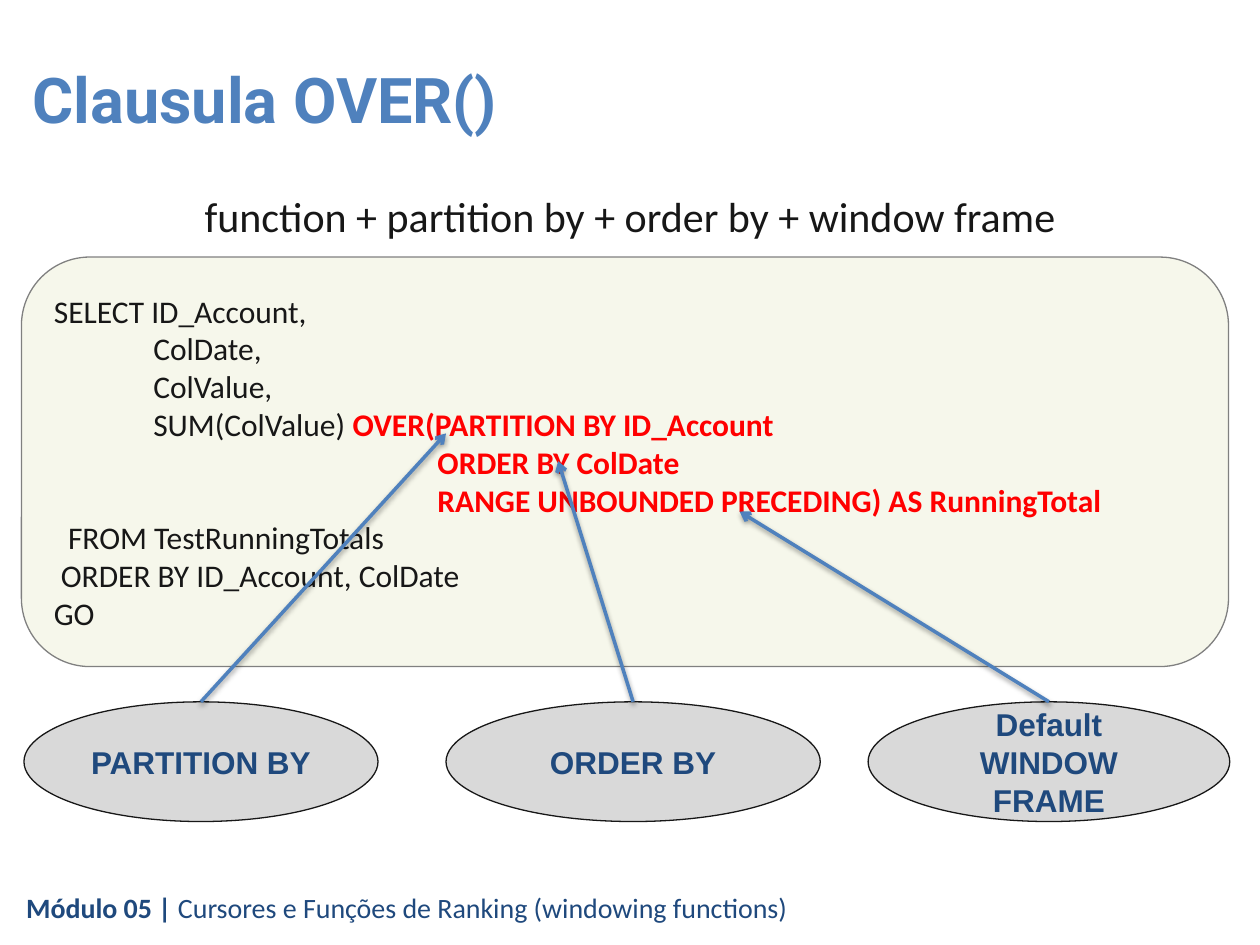
"""Build the slide that explains the parts of the OVER() clause."""
import lxml.etree
import pptx
import pptx.dml.color
import pptx.enum.shapes
import pptx.enum.text
import pptx.oxml
import pptx.oxml.ns
import pptx.util

Inches = pptx.util.Inches
Shapes = pptx.enum.shapes.MSO_SHAPE
Align = pptx.enum.text.PP_ALIGN
Anchor = pptx.enum.text.MSO_ANCHOR

DARK, NAVY, BLUE, RED = "171717", "1F497D", "4F81BD", "FF0000"
SHADOW = (
    '<a:effectLst xmlns:a="http://schemas.openxmlformats.org/drawingml/2006/main">'
    '<a:outerShdw blurRad="39370" dist="20320" dir="5400000" rotWithShape="0">'
    '<a:srgbClr val="000000"><a:alpha val="38000"/></a:srgbClr>'
    "</a:outerShdw></a:effectLst>"
)


def color(value):
    return pptx.dml.color.RGBColor.from_string(value)


def add_run(paragraph, text, *, size=18, font="Calibri", fill=DARK, bold=False):
    run = paragraph.add_run()
    run.text = text
    run.font.size = pptx.util.Pt(size)
    run.font.name = font
    run.font.bold = bold
    run.font.color.rgb = color(fill)


class SlideBuilder:
    def __init__(self, slide):
        self.slide = slide
        self.outline_width = pptx.util.Pt(0.75)
        self.arrow_width = pptx.util.Pt(2)

    def fill_text(self, shape, lines, align, anchor, **style):
        frame = shape.text_frame
        frame.word_wrap = True
        frame.vertical_anchor = anchor
        for index, line in enumerate(lines):
            paragraph = frame.add_paragraph() if index else frame.paragraphs[0]
            paragraph.alignment = align
            for text, changes in line:
                add_run(paragraph, text, **{**style, **changes})

    def text(self, box, runs, align=Align.LEFT, anchor=Anchor.TOP, **style):
        shape = self.slide.shapes.add_textbox(*map(Inches, box))
        self.fill_text(shape, [runs], align, anchor, **style)
        return shape

    def shape(self, kind, box, background, outline, lines, align, **style):
        shape = self.slide.shapes.add_shape(kind, *map(Inches, box))
        shape.shadow.inherit = False
        shape.fill.solid()
        shape.fill.fore_color.rgb = color(background)
        shape.line.color.rgb = color(outline)
        shape.line.width = self.outline_width
        self.fill_text(shape, lines, align, Anchor.MIDDLE, **style)
        return shape

    def arrow(self, source, end):
        end_x, end_y = map(Inches, end)
        connector = self.slide.shapes.add_connector(
            pptx.enum.shapes.MSO_CONNECTOR.STRAIGHT, 0, 0, end_x, end_y
        )
        connector.begin_connect(source, 0)
        connector.line.color.rgb = color(BLUE)
        connector.line.width = self.arrow_width
        properties = connector._element.spPr
        outline = properties.find(pptx.oxml.ns.qn("a:ln"))
        lxml.etree.SubElement(outline, pptx.oxml.ns.qn("a:tailEnd"), type="arrow")
        properties.append(pptx.oxml.parse_xml(SHADOW))


def main():
    presentation = pptx.Presentation()
    presentation.slide_width, presentation.slide_height = Inches(10), Inches(7.5)
    builder = SlideBuilder(presentation.slides.add_slide(presentation.slide_layouts[6]))

    builder.text(
        (0.11, 7.02, 8.56, 0.4),
        [
            ("Módulo 05 | ", {"bold": True}),
            ("Cursores e Funções de Ranking (windowing functions)", {}),
        ],
        size=16,
        fill=NAVY,
    )
    builder.text(
        (0.16, 0.39, 9.84, 0.78),
        [("Clausula OVER()", {})],
        anchor=Anchor.MIDDLE,
        size=36,
        font="Roboto",
        fill=BLUE,
        bold=True,
    )

    column, clause = " " * 14, " " * 54
    highlight = {"fill": RED, "bold": True}
    query = [
        [("SELECT ID_Account,", {})],
        [(column + "ColDate,", {})],
        [(column + "ColValue,", {})],
        [(column + "SUM(ColValue) ", {}), ("OVER(PARTITION BY ID_Account", highlight)],
        [(clause + "ORDER BY ColDate", highlight)],
        [(clause + "RANGE UNBOUNDED PRECEDING) AS RunningTotal", highlight)],
        [("  FROM TestRunningTotals", {})],
        [(" ORDER BY ID_Account, ColDate", {})],
        [("GO", {})],
    ]
    panel = builder.shape(
        Shapes.ROUNDED_RECTANGLE, (0.17, 2.04, 9.58, 3.25), "F6F7EB", "808080", query, Align.LEFT
    )
    panel.adjustments[0] = 0.167

    callouts = [
        ("PARTITION BY", 0.19, 2.81, (3.54, 3.44)),
        ("ORDER BY", 3.54, 2.97, (4.43, 3.66)),
        ("Default WINDOW FRAME", 6.89, 2.87, (5.87, 4.06)),
    ]
    for label, left, width, target in callouts:
        ellipse = builder.shape(
            Shapes.OVAL,
            (left, 5.57, width, 0.95),
            "D9D9D9",
            DARK,
            [[(label, {})]],
            Align.CENTER,
            font="Arial",
            fill=NAVY,
            bold=True,
        )
        builder.arrow(ellipse, target)

    formula = builder.text(
        (0, 1.46, 10, 0.5),
        [("function + partition by + order by + window frame", {})],
        align=Align.CENTER,
        size=24,
    )
    formula.text_frame.auto_size = pptx.enum.text.MSO_AUTO_SIZE.SHAPE_TO_FIT_TEXT

    presentation.save("out.pptx")


if __name__ == "__main__":
    main()
